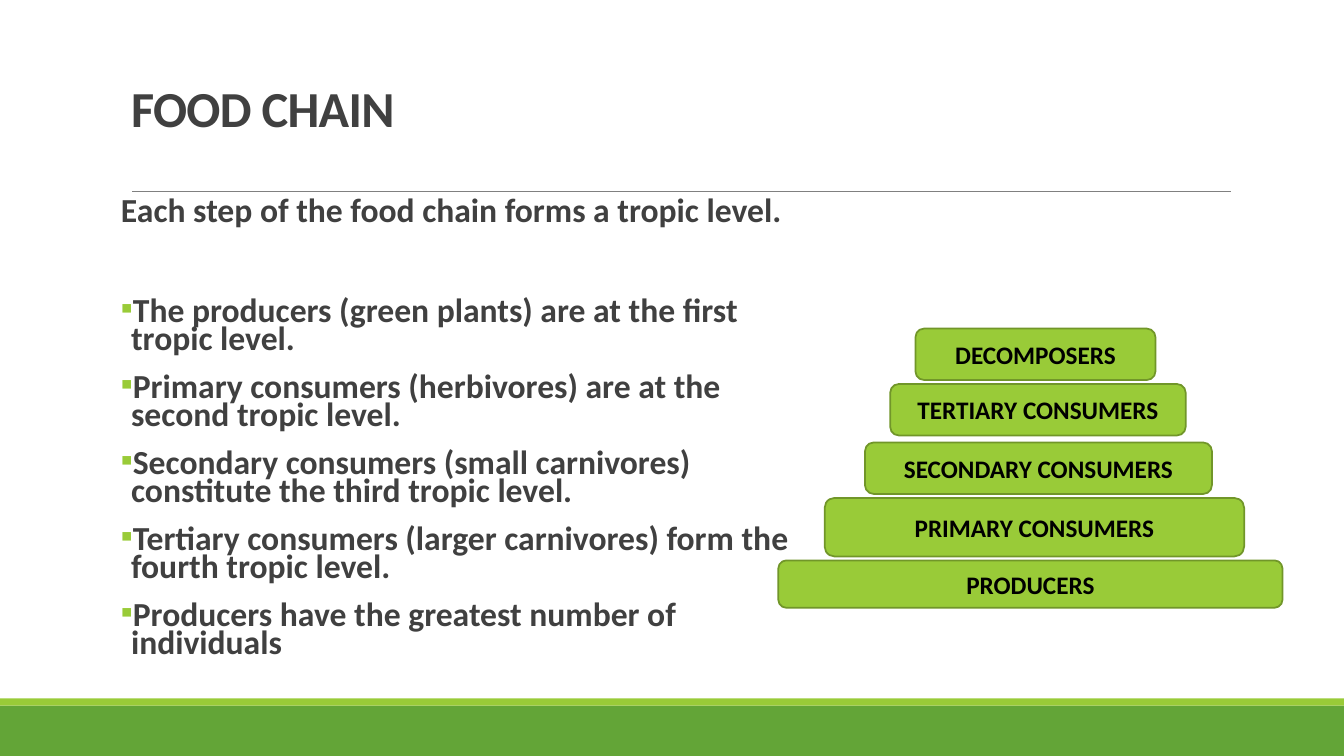
from typing import NamedTuple

from lxml import etree
from pptx import Presentation
from pptx.dml.color import RGBColor
from pptx.enum.shapes import MSO_CONNECTOR, MSO_SHAPE
from pptx.enum.text import MSO_ANCHOR, MSO_AUTO_SIZE, PP_ALIGN
from pptx.oxml.ns import qn
from pptx.util import Inches, Pt

GREEN = RGBColor(0x63, 0xA5, 0x37)
LIME = RGBColor(0x99, 0xCB, 0x38)
OLIVE = RGBColor(0x71, 0x96, 0x29)
GRAY = RGBColor(0x80, 0x80, 0x80)
DARK = RGBColor(0x40, 0x40, 0x40)
BLACK = RGBColor(0, 0, 0)

RECT = MSO_SHAPE.RECTANGLE
ROUND = MSO_SHAPE.ROUNDED_RECTANGLE
STRAIGHT = MSO_CONNECTOR.STRAIGHT
LEFT, CENTER = PP_ALIGN.LEFT, PP_ALIGN.CENTER
MIDDLE, BOTTOM = MSO_ANCHOR.MIDDLE, MSO_ANCHOR.BOTTOM
NO_FIT = MSO_AUTO_SIZE.NONE

TITLE_ONLY = 5
FONT = "Calibri"
INDENT = Inches(0.1)


class Box(NamedTuple):
    left: float
    top: float
    width: float
    height: float

    def place(self) -> list:
        return [Inches(size) for size in self]


class Tier(NamedTuple):
    text: str
    box: Box


BANDS = [(GREEN, Box(0, 7, 13.33, 0.5)), (LIME, Box(0, 6.93, 13.33, 0.07))]

TIERS = [
    Tier("PRODUCERS", Box(7.72, 5.56, 5, 0.47)),
    Tier("PRIMARY CONSUMERS", Box(8.18, 4.94, 4.16, 0.58)),
    Tier("SECONDARY CONSUMERS", Box(8.58, 4.39, 3.44, 0.51)),
    Tier("TERTIARY CONSUMERS", Box(8.83, 3.81, 2.93, 0.51)),
    Tier("DECOMPOSERS", Box(9.08, 3.26, 2.38, 0.51)),
]

LEAD = "Each step of the food chain forms a tropic level."
POINTS = [
    "The producers (green plants) are at the first tropic level.",
    "Primary consumers (herbivores) are at the second tropic level.",
    "Secondary consumers (small carnivores) constitute the third tropic level.",
    "Tertiary consumers (larger carnivores) form the fourth tropic level.",
    "Producers have the greatest number of individuals",
]


def apply(target, values: dict) -> None:
    for name, value in values.items():
        setattr(target, name, value)


def write(para, text: str, size: float, color: RGBColor, **form):
    run = para.add_run()
    run.text = text
    apply(run.font, {"name": FONT, "size": Pt(size), "bold": True})
    run.font.color.rgb = color
    apply(para, form)
    return run


def add_block(slide, kind, box: Box, fill: RGBColor):
    shape = slide.shapes.add_shape(kind, *box.place())
    shape.shadow.inherit = False
    shape.fill.solid()
    shape.fill.fore_color.rgb = fill
    shape.line.fill.background()
    return shape


def add_rule(slide) -> None:
    ends = [Inches(n) for n in (1.31, 1.9, 12.21, 1.9)]
    rule = slide.shapes.add_connector(STRAIGHT, *ends)
    rule.line.color.rgb = GRAY
    rule.line.width = Pt(0.5)
    etree.SubElement(rule._element.spPr, qn("a:effectLst"))


def add_bullet(para) -> None:
    props = para._p.get_or_add_pPr()
    props.set("marL", str(INDENT))
    props.set("indent", str(-INDENT))
    color = etree.SubElement(props, qn("a:buClr"))
    etree.SubElement(color, qn("a:srgbClr"), val=str(LIME))
    etree.SubElement(props, qn("a:buFont"), typeface=FONT)
    etree.SubElement(props, qn("a:buChar"), char="▪")


def set_title(slide) -> None:
    title = slide.shapes.title
    places = Box(1.2, 0.81, 11, 0.61).place()
    apply(title, dict(zip(("left", "top", "width", "height"), places)))
    frame = title.text_frame
    apply(frame, {"auto_size": NO_FIT, "word_wrap": True,
                  "vertical_anchor": BOTTOM})
    run = write(frame.paragraphs[0], "FOOD CHAIN", 36, DARK,
                alignment=LEFT, line_spacing=0.85)
    run.font._element.set("spc", "-50")


def add_body(slide) -> None:
    box = Box(1.2, 1.93, 6.98, 4.94)
    frame = slide.shapes.add_textbox(*box.place()).text_frame
    apply(frame, {"word_wrap": True, "margin_left": 0, "margin_right": 0})
    form = {"line_spacing": 0.7, "space_after": Pt(2)}
    write(frame.paragraphs[0], LEAD, 24, DARK, **form)
    for rank, text in enumerate(POINTS):
        para = frame.add_paragraph()
        gap = Pt(12 if rank else 49.5)
        write(para, text, 24, DARK, space_before=gap, **form)
        add_bullet(para)


def add_tier(slide, tier: Tier) -> None:
    shape = add_block(slide, ROUND, tier.box, LIME)
    shape.line.color.rgb = OLIVE
    shape.line.width = Pt(1.25)
    frame = shape.text_frame
    apply(frame, {"word_wrap": True, "vertical_anchor": MIDDLE})
    write(frame.paragraphs[0], tier.text, 18, BLACK, alignment=CENTER)


def main() -> None:
    deck = Presentation()
    apply(deck, {"slide_width": Inches(13.33), "slide_height": Inches(7.5)})
    slide = deck.slides.add_slide(deck.slide_layouts[TITLE_ONLY])
    for fill, box in BANDS:
        add_block(slide, RECT, box, fill)
    add_rule(slide)
    set_title(slide)
    add_body(slide)
    for tier in TIERS:
        add_tier(slide, tier)
    deck.save("out.pptx")


if __name__ == "__main__":
    main()
